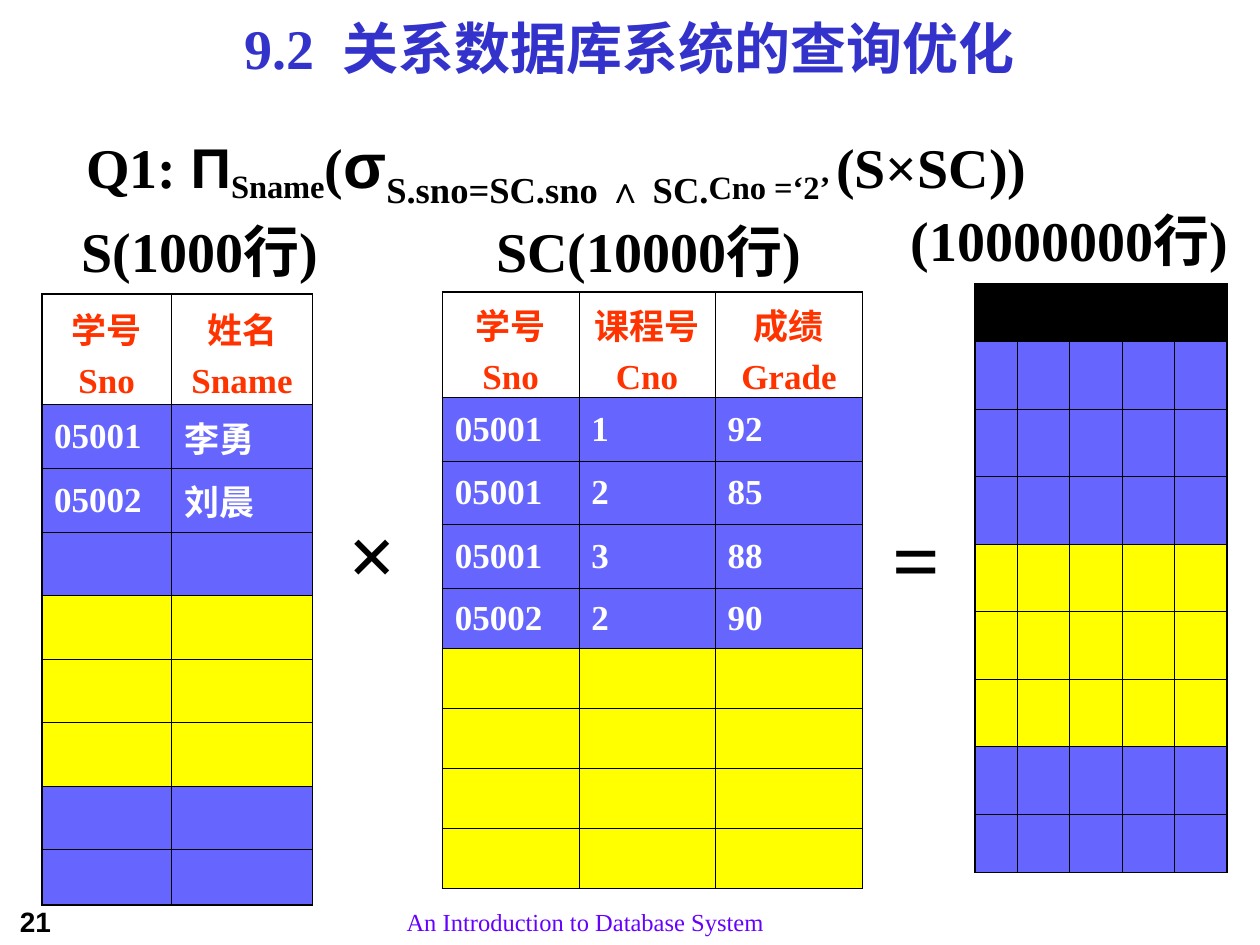
"""Build the slide on query optimisation: relations S and SC and their product."""
from dataclasses import dataclass

from lxml.etree import SubElement
from pptx import Presentation
from pptx.dml.color import RGBColor
from pptx.enum.text import MSO_ANCHOR as Anchor
from pptx.enum.text import MSO_AUTO_SIZE as AutoSize
from pptx.enum.text import PP_ALIGN as Align
from pptx.oxml.ns import qn
from pptx.util import Cm, Pt

BLACK = RGBColor(0x00, 0x00, 0x00)
WHITE = RGBColor(0xFF, 0xFF, 0xFF)
TITLE_BLUE = RGBColor(0x33, 0x33, 0xCC)
VIOLET = RGBColor(0x66, 0x00, 0xFF)
RED = RGBColor(0xFF, 0x33, 0x00)
BLUE = RGBColor(0x66, 0x66, 0xFF)
YELLOW = RGBColor(0xFF, 0xFF, 0x00)
SERIF, SANS = "Times New Roman", "Arial"
THIN, THICK = Pt(0.45), Pt(1.08)


@dataclass(frozen=True)
class Span:
    text: str
    size: float = 32
    font: str = SERIF
    baseline: int = 0


@dataclass(frozen=True)
class Label:
    text: str
    place: tuple[float, float, float, float]
    style: dict


@dataclass(frozen=True)
class Relation:
    left: float
    top: float
    widths: list[float]
    heights: list[float]
    fills: list[RGBColor | None]
    rows: list[list[str]]


def add_span(para, text: str, *, size: float = 32, font: str = SERIF,
             color: RGBColor = BLACK, bold: bool = True, baseline: int = 0) -> None:
    run = para.add_run()
    run.text = text
    run.font.size, run.font.name, run.font.bold = Pt(size), font, bold
    run.font.color.rgb = color
    if baseline:
        run.font._element.set("baseline", str(baseline * 1000))


def add_box(page, place: tuple[float, float, float, float], *, right_inset: float = 0.25,
            align: Align = Align.LEFT, anchor: Anchor = Anchor.TOP):
    frame = page.shapes.add_textbox(*map(Cm, place)).text_frame
    frame.word_wrap, frame.vertical_anchor = True, anchor
    frame.auto_size = AutoSize.NONE
    frame.margin_right = Cm(right_inset)
    para = frame.paragraphs[0]
    para.alignment = align
    return para


def add_label(page, label: Label) -> None:
    box_keys = {"right_inset", "align", "anchor"}
    box_style = {key: value for key, value in label.style.items() if key in box_keys}
    span_style = {key: value for key, value in label.style.items() if key not in box_keys}
    add_span(add_box(page, label.place, **box_style), label.text, **span_style)


def add_borders(cell, widths: dict[str, int]) -> None:
    properties = cell._tc.get_or_add_tcPr()
    for side, width in widths.items():
        line = SubElement(properties, qn(f"a:ln{side}"), w=str(int(width)))
        SubElement(SubElement(line, qn("a:solidFill")), qn("a:srgbClr"), val=str(BLACK))


def fill_cell(cell, text: str, is_header: bool) -> None:
    cell.vertical_anchor = Anchor.MIDDLE
    cell.margin_left = cell.margin_right = Cm(0.25)
    cell.margin_top = Cm(0.13)
    cell.margin_bottom = Cm(0.01 if is_header else 0.13)
    frame = cell.text_frame
    for index, line in enumerate(text.splitlines()):
        para = frame.add_paragraph() if index else frame.paragraphs[0]
        para.alignment = Align.CENTER if is_header else Align.LEFT
        para.space_before = Pt(5)
        add_span(para, line, size=20, color=RED if is_header else WHITE)


def add_relation(page, relation: Relation) -> None:
    row_count, column_count = len(relation.heights), len(relation.widths)
    table = page.shapes.add_table(
        row_count, column_count, Cm(relation.left), Cm(relation.top),
        Cm(sum(relation.widths)), Cm(sum(relation.heights))).table
    table.first_row = table.horz_banding = False
    for column, width in zip(table.columns, relation.widths):
        column.width = Cm(width)
    for row, height in zip(table.rows, relation.heights):
        row.height = Cm(height)
    for r, fill in enumerate(relation.fills):
        for c in range(column_count):
            cell = table.cell(r, c)
            add_borders(cell, {
                "L": THICK if c == 0 else THIN,
                "R": THICK if c == column_count - 1 else THIN,
                "T": THICK if r == 0 else THIN,
                "B": THICK if r == row_count - 1 else THIN})
            if fill is None:
                cell.fill.background()
            else:
                cell.fill.solid()
                cell.fill.fore_color.rgb = fill
            if r < len(relation.rows):
                fill_cell(cell, relation.rows[r][c], r == 0)


FORMULA = [
    Span("Q1: "),
    Span("Π", font=SANS),
    Span("Sname", baseline=-18),
    Span("("),
    Span("σ", size=36, font=SANS),
    Span("S.sno=SC.sno ∧ SC.", size=36, baseline=-25),
    Span("Cno =‘2’ ", baseline=-20),
    Span("(S×SC))"),
]
ROW_COUNT = dict(right_inset=0)
OPERATOR = dict(size=48, align=Align.CENTER)
LABELS = [
    Label("21", (0.15, 18.11, 3.1, 0.94), dict(size=16, font=SANS)),
    Label("An Introduction to Database System", (6.68, 18.16, 10.24, 0.89),
          dict(size=14, color=VIOLET, bold=False, align=Align.CENTER)),
    Label("9.2  关系数据库系统的查询优化", (1.9, 0.1, 21.6, 1.7),
          dict(color=TITLE_BLUE, align=Align.CENTER, anchor=Anchor.MIDDLE)),
    Label("S(1000行)", (1.07, 4.24, 5.92, 1.63), dict(align=Align.CENTER)),
    Label("SC(10000行)", (9.75, 4.24, 7.29, 1.63), ROW_COUNT),
    Label("(10000000行)", (18.11, 4.01, 7.29, 1.63), ROW_COUNT),
    Label("×", (6.78, 9.98, 1.47, 2.29), OPERATOR),
    Label("=", (17.73, 10.08, 1.47, 2.29), OPERATOR),
]
RELATIONS = [
    Relation(0.84, 5.92, [2.62, 2.84], [2.24] + [1.28] * 7 + [1.11],
             [None] + [BLUE] * 3 + [YELLOW] * 3 + [BLUE] * 2,
             [["学号\nSno", "姓名\nSname"], ["05001", "李勇"], ["05002", "刘晨"]]),
    Relation(8.92, 5.89, [2.75, 2.75, 2.97], [2.13] + [1.28] * 3 + [1.21] * 5,
             [None] + [BLUE] * 4 + [YELLOW] * 4,
             [["学号\nSno", "课程号\nCno", "成绩\nGrade"], ["05001", "1", "92"],
              ["05001", "2", "85"], ["05001", "3", "88"], ["05002", "2", "90"]]),
    Relation(19.66, 5.72, [0.84] + [1.06] * 4, [1.17] + [1.36] * 7 + [1.18],
             [BLACK] + [BLUE] * 3 + [YELLOW] * 3 + [BLUE] * 2, []),
]


def main() -> None:
    deck = Presentation()
    deck.slide_width, deck.slide_height = Cm(25.4), Cm(19.05)
    page = deck.slides.add_slide(deck.slide_layouts[6])
    para = add_box(page, (0.64, 1.88, 24.33, 2.79))
    para.line_spacing = 1.3
    para._p.get_or_add_pPr().set("marL", str(int(Cm(0.85))))
    for span in FORMULA:
        add_span(para, span.text, size=span.size, font=span.font, baseline=span.baseline)
    for relation in RELATIONS:
        add_relation(page, relation)
    for label in LABELS:
        add_label(page, label)
    deck.save("out.pptx")


if __name__ == "__main__":
    main()
